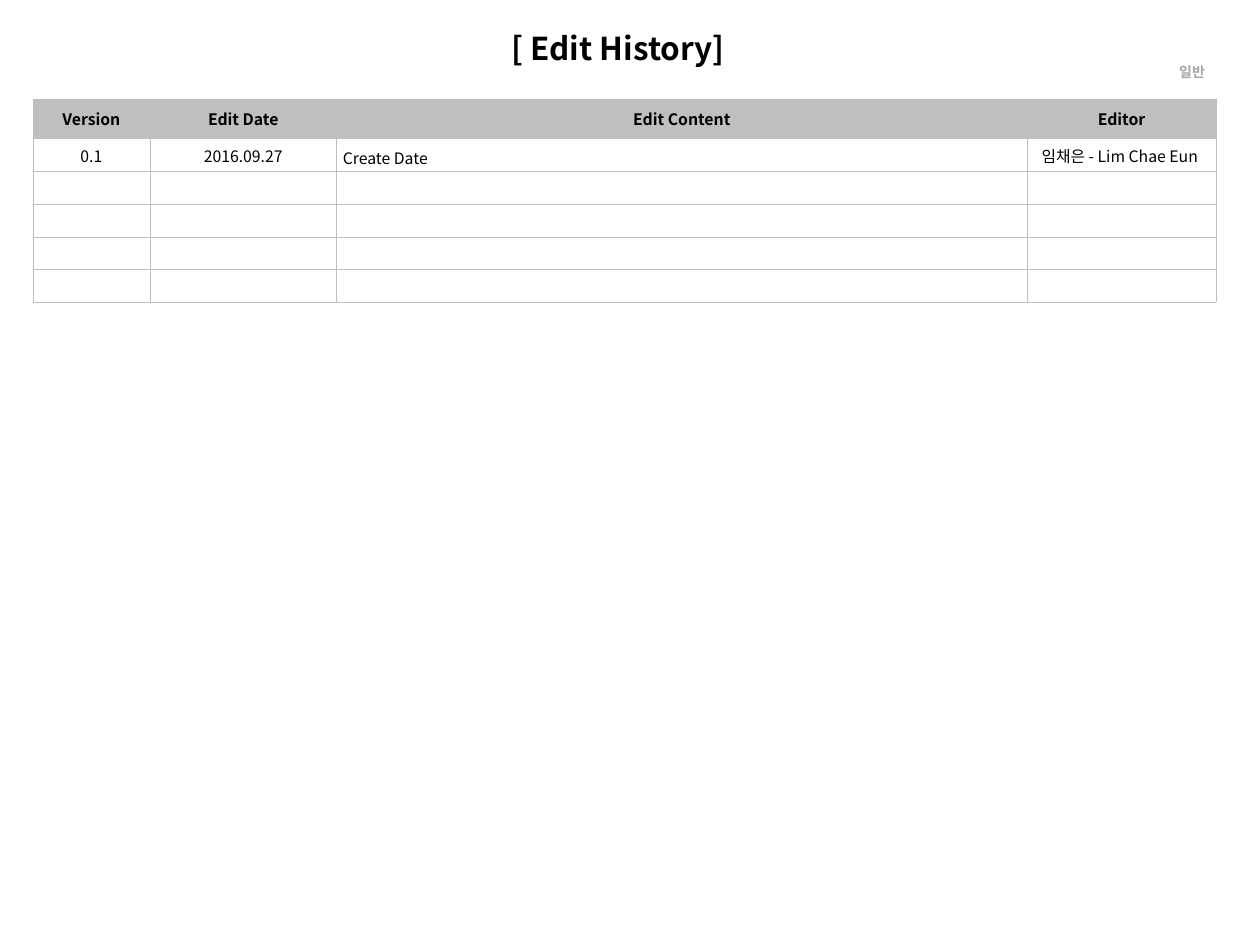
import pptx
import pptx.util
import pptx.dml.color
import pptx.enum.text
import pptx.oxml.ns
import lxml.etree

Pt = pptx.util.Pt
ALIGN = pptx.enum.text.PP_ALIGN
ANCHOR = pptx.enum.text.MSO_ANCHOR
qn = pptx.oxml.ns.qn

FONT = "Noto Sans CJK KR"
COLORS = {"ink": "000000", "rule": "BFBFBF", "label": "A6A6A6"}
COLUMN_WIDTHS = [67, 106.6, 394.6, 108]
HEADER_HEIGHT, ROW_HEIGHT = 22.3, 18.7
HISTORY = [
    ["Version", "Edit Date", "Edit Content", "Editor"],
    ["0.1", "2016.09.27", "Create Date", "임채은 - Lim Chae Eun "],
] + [[""] * 4 for _ in range(4)]


def rgb(name):
    return pptx.dml.color.RGBColor.from_string(COLORS[name])


def write(frame, text, size, bold, color="ink", align=ALIGN.LEFT, spacing=1.0):
    frame.text = text
    paragraph = frame.paragraphs[0]
    paragraph.alignment = align
    paragraph.line_spacing = spacing
    for run in paragraph.runs:
        run.font.size = Pt(size)
        run.font.bold = bold
        run.font.name = FONT
        run.font.color.rgb = rgb(color)
        east_asian = lxml.etree.SubElement(run.font._element, qn("a:ea"))
        east_asian.set("typeface", FONT)
    if not text:
        ending = lxml.etree.SubElement(paragraph._p, qn("a:endParaRPr"))
        ending.set("sz", str(size * 100))


def draw_borders(cell):
    properties = cell._tc.get_or_add_tcPr()
    for position, side in enumerate(("lnL", "lnR", "lnT", "lnB")):
        line = lxml.etree.Element(qn("a:" + side), w=str(int(Pt(0.25))))
        fill = lxml.etree.SubElement(line, qn("a:solidFill"))
        lxml.etree.SubElement(fill, qn("a:srgbClr"), val=COLORS["rule"])
        properties.insert(position, line)


def add_title(slide, left, top, width, height):
    title = slide.shapes.title
    title.left, title.top, title.width, title.height = map(Pt, (left, top, width, height))
    frame = title.text_frame
    write(frame, "[ Edit History]", 18, True)
    frame.word_wrap = False
    frame.auto_size = pptx.enum.text.MSO_AUTO_SIZE.NONE
    frame.vertical_anchor = ANCHOR.MIDDLE


def add_category(slide, left, top, width, height):
    category = slide.shapes.add_textbox(*map(Pt, (left, top, width, height)))
    category.text_frame.word_wrap = True
    write(category.text_frame, "일반", 8, True, "label", spacing=1.4)


def add_history(slide, left, top):
    height = HEADER_HEIGHT + ROW_HEIGHT * (len(HISTORY) - 1)
    frame = slide.shapes.add_table(
        len(HISTORY), len(COLUMN_WIDTHS),
        Pt(left), Pt(top), Pt(sum(COLUMN_WIDTHS)), Pt(height))
    history = frame.table
    history.horz_banding = False
    for column, width in zip(history.columns, COLUMN_WIDTHS):
        column.width = Pt(width)
    for row_index, entries in enumerate(HISTORY):
        is_header = row_index == 0
        history.rows[row_index].height = Pt(HEADER_HEIGHT if is_header else ROW_HEIGHT)
        for column_index, entry in enumerate(entries):
            cell = history.cell(row_index, column_index)
            is_content = column_index == 2 and not is_header
            cell.margin_left = cell.margin_right = Pt(3.6)
            cell.margin_top = cell.margin_bottom = Pt(3.6 if entry else 2)
            cell.vertical_anchor = ANCHOR.TOP if is_content else ANCHOR.MIDDLE
            write(cell.text_frame, entry, 9, is_header,
                  align=ALIGN.LEFT if is_content else ALIGN.CENTER,
                  spacing=1.1 if is_content else 1.0)
            if is_header:
                cell.fill.solid()
                cell.fill.fore_color.rgb = rgb("rule")
            else:
                cell.fill.background()
            draw_borders(cell)


presentation = pptx.Presentation()
presentation.slide_width, presentation.slide_height = Pt(720), Pt(540)
slide = presentation.slides.add_slide(presentation.slide_layouts[5])
add_category(slide, 666.7, 28.8, 44.6, 20.2)
add_title(slide, 285.1, 13, 136.8, 28.8)
add_history(slide, 18.7, 56.5)
presentation.save("out.pptx")
